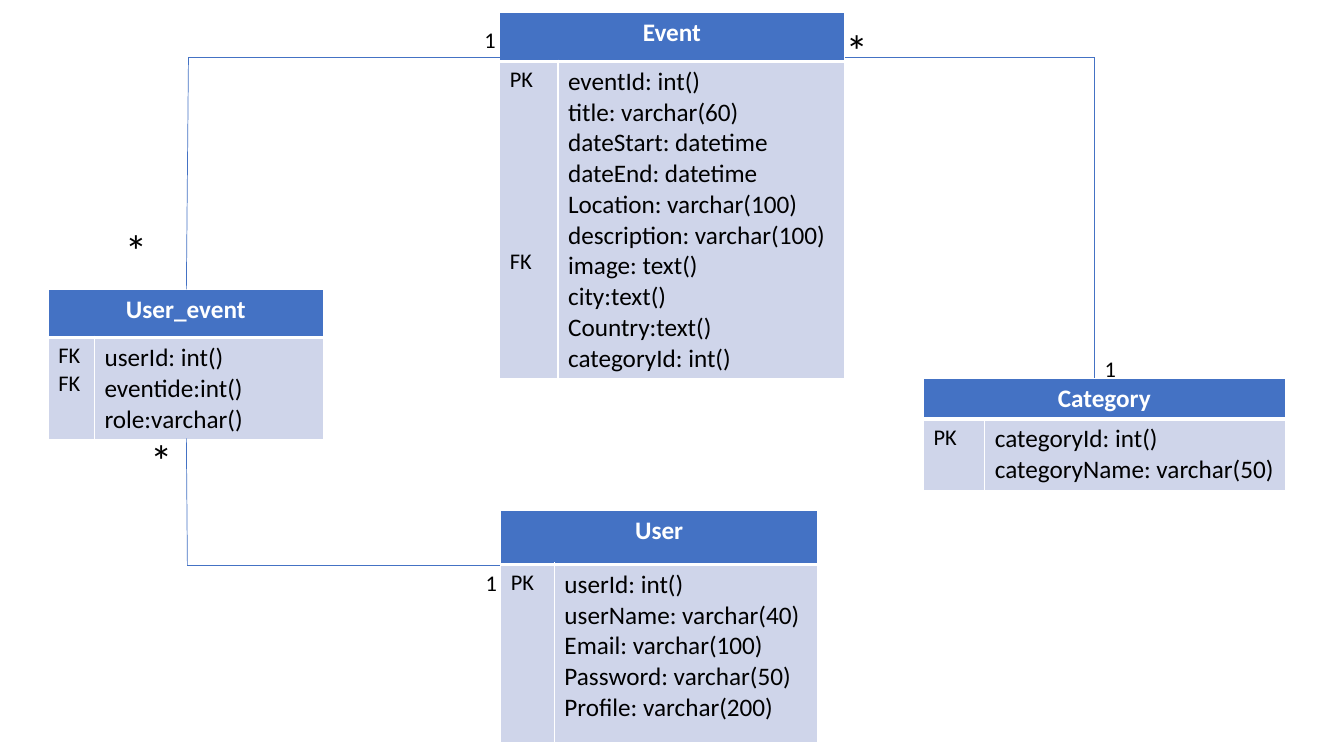
from pptx import Presentation
from pptx import util as u
from pptx.dml.color import RGBColor
from pptx.enum import shapes, text
from pptx.oxml.ns import qn
from lxml import etree

PX = 4762.5  # 192 px to the inch
FONT = "Calibri"
BLUE = RGBColor(0x44, 0x72, 0xC4)
PALE = RGBColor(0xCF, 0xD5, 0xEA)
WHITE = RGBColor(0xFF, 0xFF, 0xFF)
BLACK = RGBColor(0, 0, 0)

# name, left, top, column widths, row heights, keys with the gap above (pt), fields
TABLES = [
    ("User", 954, 973, (102, 501), (102, 340), [("PK", 0)],
     ["userId: int()", "userName: varchar(40)", "Email: varchar(100)",
      "Password: varchar(50)", "Profile: varchar(200)"]),
    ("Event", 952, 23, (111, 545), (94, 602), [("PK", 0), ("FK", 110)],
     ["eventId: int()", "title: varchar(60)", "dateStart: datetime",
      "dateEnd: datetime", "Location: varchar(100)",
      "description: varchar(100)", "image: text()", "city:text()",
      "Country:text()", "categoryId: int()"]),
    ("Category", 1759, 720, (117, 572), (77, 135), [("PK", 0)],
     ["categoryId: int()", "categoryName: varchar(50)"]),
    ("User_event", 92, 551, (88, 436), (92, 193), [("FK", 0), ("FK", 0)],
     ["userId: int()", "eventide:int()", "role:varchar()"]),
]

# Each link is a chain of corner points
LINKS = [
    [(355, 551), (359, 109), (952, 109)],
    [(355, 835), (357, 1077), (952, 1077)],
    [(1609, 109), (2085, 109), (2085, 720)],
]

MANY = [(267, 814), (219, 415), (1592, 33)]
ONE = [(906, 1075), (904, 40), (2085, 666)]


def px(*nums):
    return [u.Emu(int(n * PX)) for n in nums]


def add_run(par, words, size, color=BLACK, bold=False):
    run = par.add_run()
    run.text = words
    font = run.font
    font.name, font.size, font.bold = FONT, u.Pt(size), bold
    font.color.rgb = color


def fill_cell(cell, color, lines, size, ink=BLACK, head=False):
    """Write (words, gap above) lines into a cell with a solid fill."""
    cell.fill.solid()
    cell.fill.fore_color.rgb = color
    frame = cell.text_frame
    for i, (words, gap) in enumerate(lines):
        par = frame.add_paragraph() if i else frame.paragraphs[0]
        if head:
            par.alignment = text.PP_ALIGN.CENTER
        if gap:
            par.space_before = u.Pt(gap)
        add_run(par, words, size, ink, head)


def add_edge(cell, side, width):
    """Draw one white cell border; side is a tag such as a:lnB."""
    props = cell._tc.get_or_add_tcPr()
    edge = etree.Element(qn(side), w=str(u.Pt(width)))
    fill = etree.SubElement(edge, qn("a:solidFill"))
    etree.SubElement(fill, qn("a:srgbClr"), val=str(WHITE))
    props.insert(0, edge)


def add_entity(slide, name, left, top, cols, rows, keys, fields):
    table = slide.shapes.add_table(
        2, 2, *px(left, top, sum(cols), sum(rows))).table
    table.horz_banding = False
    for col, wide in zip(table.columns, px(*cols)):
        col.width = wide
    for row, high in zip(table.rows, px(*rows)):
        row.height = high
    title = table.cell(0, 0)
    title.merge(table.cell(0, 1))
    fill_cell(title, BLUE, [(name, 0)], 18, WHITE, True)
    fill_cell(table.cell(1, 0), PALE, keys, 16)
    fill_cell(table.cell(1, 1), PALE, [(f, 0) for f in fields], 18)
    for i in range(2):
        add_edge(table.cell(0, i), "a:lnB", 3)
        add_edge(table.cell(1, i), "a:lnT", 3)


def add_link(slide, points):
    for start, end in zip(points, points[1:]):
        line = slide.shapes.add_connector(
            shapes.MSO_CONNECTOR.STRAIGHT, *px(*start, *end))
        line.line.color.rgb = BLUE
        line.line.width = u.Pt(0.5)
        props = line._element.find(qn("p:spPr"))
        etree.SubElement(props, qn("a:effectLst"))


def add_mark(slide, words, spot, high, size):
    box = slide.shapes.add_textbox(*px(*spot, 96, high))
    box.text_frame.word_wrap = True
    add_run(box.text_frame.paragraphs[0], words, size)


def main():
    deck = Presentation()
    deck.slide_width, deck.slide_height = px(2560, 1440)
    slide = deck.slides.add_slide(deck.slide_layouts[6])
    for entry in TABLES:
        add_entity(slide, *entry)
    for points in LINKS:
        add_link(slide, points)
    for spot in MANY:
        add_mark(slide, "*", spot, 123, 32)
    for spot in ONE:
        add_mark(slide, "1", spot, 71, 16)
    deck.save("out.pptx")


if __name__ == "__main__":
    main()
